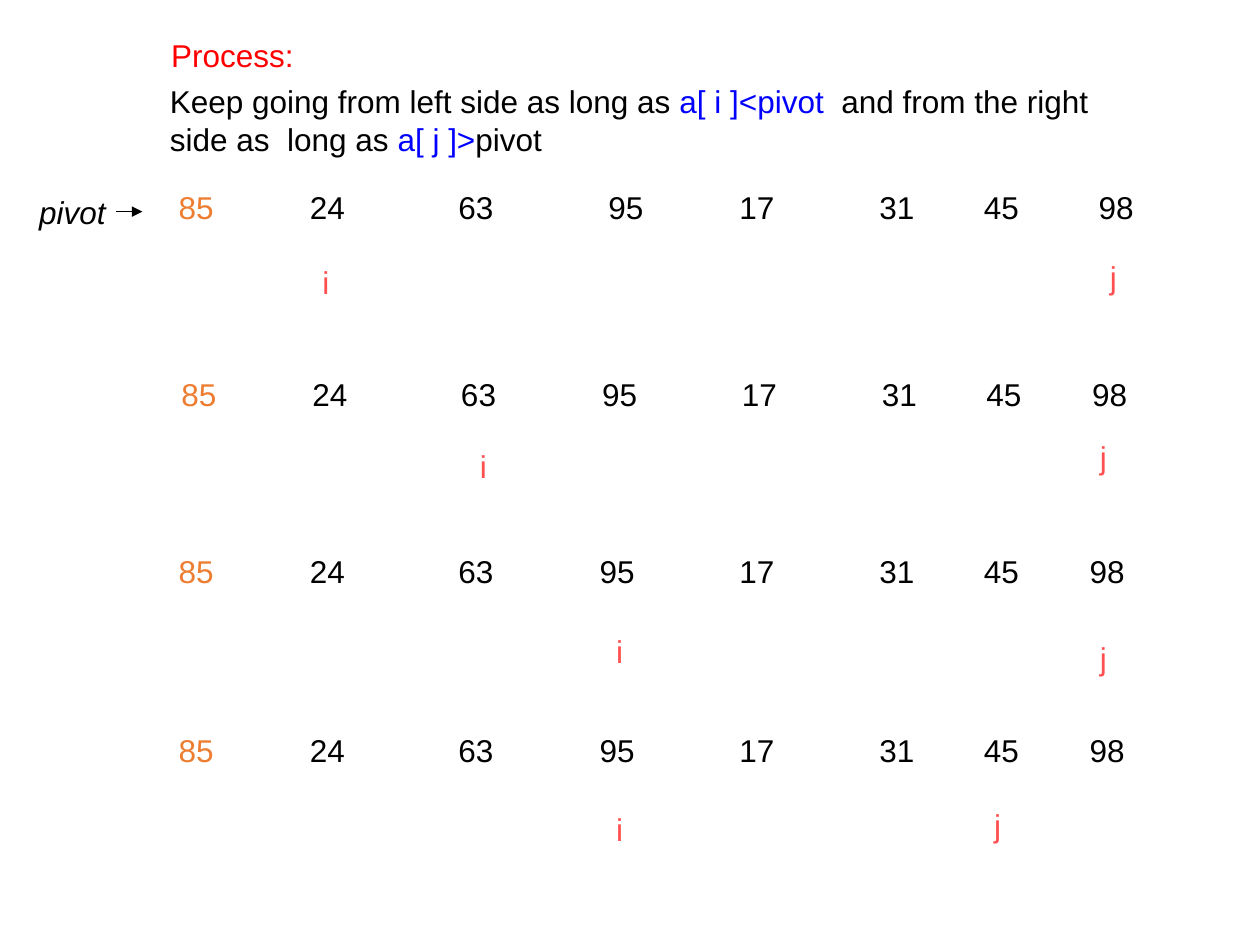
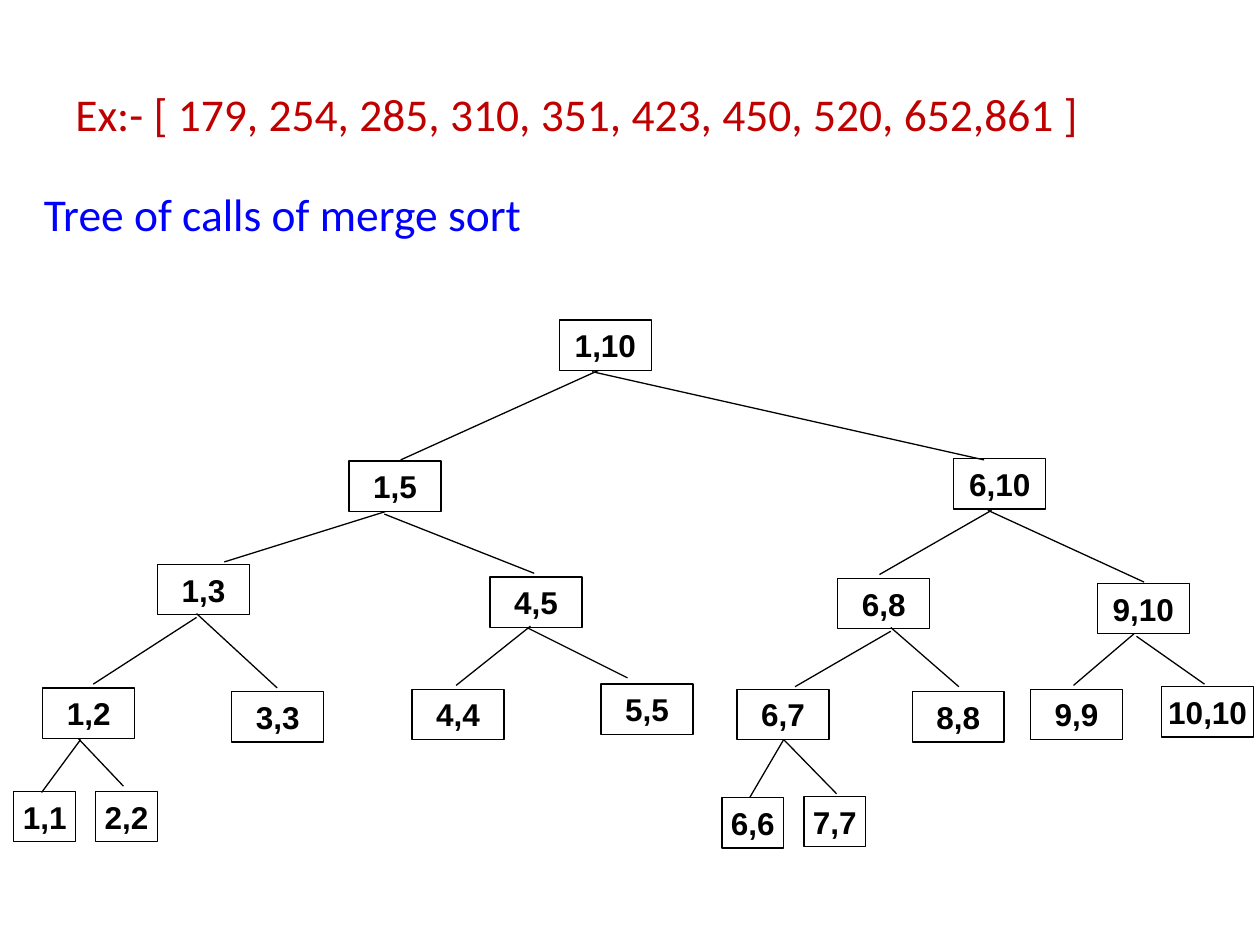
import dataclasses
import typing

import lxml.etree
import pptx
import pptx.dml.color
import pptx.enum.shapes
import pptx.enum.text
import pptx.oxml.ns
import pptx.util

EMU_PER_PX = 9144  # 100 px to the inch
COLOURS = {
    "black": "000000", "white": "FFFFFF", "blue": "0000FF", "red": "FF0000",
    "pivot": "ED7D31", "marker": "FF5050", "example": "C00000",
}
BODY = {"name": "Arial", "size": pptx.util.Pt(18)}
HEADING = {"name": "Calibri", "size": pptx.util.Pt(26)}
MIDDLE = pptx.enum.text.MSO_ANCHOR.MIDDLE
CENTRE = pptx.enum.text.PP_ALIGN.CENTER


class Span(typing.NamedTuple):
    text: str
    colour: str = "black"


class Area(typing.NamedTuple):
    left: int
    top: int
    width: int
    height: int


class Link(typing.NamedTuple):
    start_x: int
    start_y: int
    end_x: int
    end_y: int


@dataclasses.dataclass
class NumberRow:
    area: Area
    values: list[int]
    tabs: list[int]


@dataclasses.dataclass
class Marker:
    letter: str
    left: int
    top: int


@dataclasses.dataclass
class Node:
    label: str
    left: int
    top: int
    link: Link | None = None
    width: int = 73


# Slide 1: partition steps
VALUES = [85, 24, 63, 95, 17, 31, 45, 98]
FIRST_TABS = [104, 222, 341, 445, 556, 639, 730]
TABS = [104, 222, 334, 445, 556, 639, 723]
ROWS = [
    NumberRow(Area(132, 144, 791, 40), VALUES, FIRST_TABS),
    NumberRow(Area(134, 293, 791, 40), VALUES, TABS),
    NumberRow(Area(132, 433, 791, 70), VALUES, TABS),
    NumberRow(Area(132, 575, 791, 70), VALUES, TABS),
]
MARKERS = [
    Marker("i", 225, 204), Marker("j", 850, 200),
    Marker("i", 350, 350), Marker("j", 842, 343),
    Marker("i", 458, 497), Marker("j", 842, 502),
    Marker("i", 458, 638), Marker("j", 758, 635),
]
MARKER_INSET = 31
PROCESS_STEP = [
    Span("Keep going from left side as long as "),
    Span("a[ i ]<pivot", "blue"),
    Span("  and from the right side as  long as "),
    Span("a[ j ]>", "blue"),
    Span("pivot"),
]

# Slide 2: each node carries the line that joins it to its parent
LEAF_WIDTH = 49
NODES = [
    Node("1,10", 444, 254),
    Node("1,5", 277, 366, Link(318, 365, 475, 294)),
    Node("6,10", 757, 364, Link(470, 295, 781, 365)),
    Node("1,3", 125, 448, Link(178, 446, 306, 406)),
    Node("4,5", 389, 458, Link(305, 408, 424, 455)),
    Node("6,8", 665, 459, Link(698, 456, 787, 405)),
    Node("9,10", 871, 463, Link(784, 405, 908, 462)),
    Node("1,2", 34, 546, Link(156, 490, 74, 543)),
    Node("3,3", 184, 549, Link(156, 487, 220, 546)),
    Node("4,4", 327, 547, Link(421, 497, 362, 544)),
    Node("5,5", 477, 543, Link(418, 498, 498, 538)),
    Node("6,7", 585, 547, Link(707, 501, 631, 545)),
    Node("8,8", 724, 549, Link(707, 498, 761, 545)),
    Node("9,9", 818, 547, Link(900, 503, 852, 544)),
    Node("10,10", 922, 545, Link(902, 505, 956, 543)),
    Node("1,1", 11, 628, Link(64, 587, 33, 629), LEAF_WIDTH),
    Node("2,2", 76, 628, Link(62, 586, 98, 624), LEAF_WIDTH),
    Node("6,6", 573, 633, Link(622, 587, 595, 633), LEAF_WIDTH),
    Node("7,7", 638, 632, Link(622, 587, 664, 630), LEAF_WIDTH),
]


def px(length: int) -> pptx.util.Emu:
    return pptx.util.Emu(length * EMU_PER_PX)


def rgb(name: str) -> pptx.dml.color.RGBColor:
    return pptx.dml.color.RGBColor.from_string(COLOURS[name])


def set_all(target: typing.Any, values: dict[str, typing.Any]) -> None:
    for name, value in values.items():
        setattr(target, name, value)


def add_spans(para: typing.Any, spans: list[Span], font: dict[str, typing.Any]) -> None:
    for span in spans:
        run = para.add_run()
        run.text = span.text
        set_all(run.font, font)
        run.font.color.rgb = rgb(span.colour)


def add_text(page: typing.Any, area: Area, spans: list[Span],
             font: dict[str, typing.Any], frame: dict[str, typing.Any] | None = None,
             layout: dict[str, typing.Any] | None = None,
             tabs: list[int] | None = None) -> None:
    box = page.shapes.add_textbox(*map(px, area))
    set_all(box.text_frame, {"word_wrap": True, **(frame or {})})
    para = box.text_frame.paragraphs[0]
    set_all(para, layout or {})
    if tabs:
        properties = para._p.get_or_add_pPr()
        tab_list = lxml.etree.SubElement(properties, pptx.oxml.ns.qn("a:tabLst"))
        for position in tabs:
            lxml.etree.SubElement(tab_list, pptx.oxml.ns.qn("a:tab"),
                                  pos=str(px(position)), algn="l")
    add_spans(para, spans, font)


def add_label(page: typing.Any, area: Area, text: str, outline: str,
              style: dict[str, typing.Any]) -> None:
    box = page.shapes.add_shape(pptx.enum.shapes.MSO_SHAPE.RECTANGLE, *map(px, area))
    box.shadow.inherit = False
    box.fill.solid()
    box.fill.fore_color.rgb = rgb("white")
    box.line.color.rgb = rgb(outline)
    box.line.width = pptx.util.Pt(0.75)
    set_all(box.text_frame, {"word_wrap": False, "vertical_anchor": MIDDLE})
    para = box.text_frame.paragraphs[0]
    para.alignment = CENTRE
    add_spans(para, [Span(text)], {**BODY, **style})


def add_line(page: typing.Any, link: Link, arrow: bool = False) -> None:
    line = page.shapes.add_connector(pptx.enum.shapes.MSO_CONNECTOR.STRAIGHT, *map(px, link))
    line.line.color.rgb = rgb("black")
    line.line.width = pptx.util.Pt(0.75)
    if arrow:
        lxml.etree.SubElement(line.line._get_or_add_ln(),
                              pptx.oxml.ns.qn("a:tailEnd"), type="triangle")
    lxml.etree.SubElement(line._element.spPr, pptx.oxml.ns.qn("a:effectLst"))


def build_partition(page: typing.Any) -> None:
    add_text(page, Area(126, 24, 308, 40), [Span("Process:", "red")], BODY)
    add_text(page, Area(125, 60, 758, 70), PROCESS_STEP, BODY)
    for row in ROWS:
        pivot, *others = row.values
        spans = [Span(str(pivot), "pivot"), Span("".join(f"\t{value}" for value in others))]
        add_text(page, row.area, spans, BODY, tabs=row.tabs)
    for marker in MARKERS:
        add_text(page, Area(marker.left, marker.top, 67, 40),
                 [Span(marker.letter, "marker")], BODY, {"margin_left": px(MARKER_INSET)})
    # Pivot label and arrow
    add_label(page, Area(24, 156, 67, 24), "pivot", "white", {"italic": True})
    add_line(page, Link(92, 168, 113, 168), arrow=True)


def build_call_tree(page: typing.Any) -> None:
    tight = {"line_spacing": 0.9}
    add_text(page, Area(50, 30, 917, 125),
             [Span("Ex:- [ 179, 254, 285, 310, 351, 423, 450, 520, 652,861 ]", "example")],
             HEADING, {"vertical_anchor": MIDDLE}, tight)
    add_text(page, Area(25, 148, 952, 578), [Span("Tree of calls of merge sort", "blue")],
             HEADING, layout=tight)
    for node in NODES:
        add_label(page, Area(node.left, node.top, node.width, 40), node.label,
                  "black", {"bold": True})
        if node.link:
            add_line(page, node.link)


def main() -> None:
    deck = pptx.Presentation()
    set_all(deck, {"slide_width": px(1000), "slide_height": px(750)})
    for build in (build_partition, build_call_tree):
        build(deck.slides.add_slide(deck.slide_layouts[6]))
    deck.save("out.pptx")


if __name__ == "__main__":
    main()
